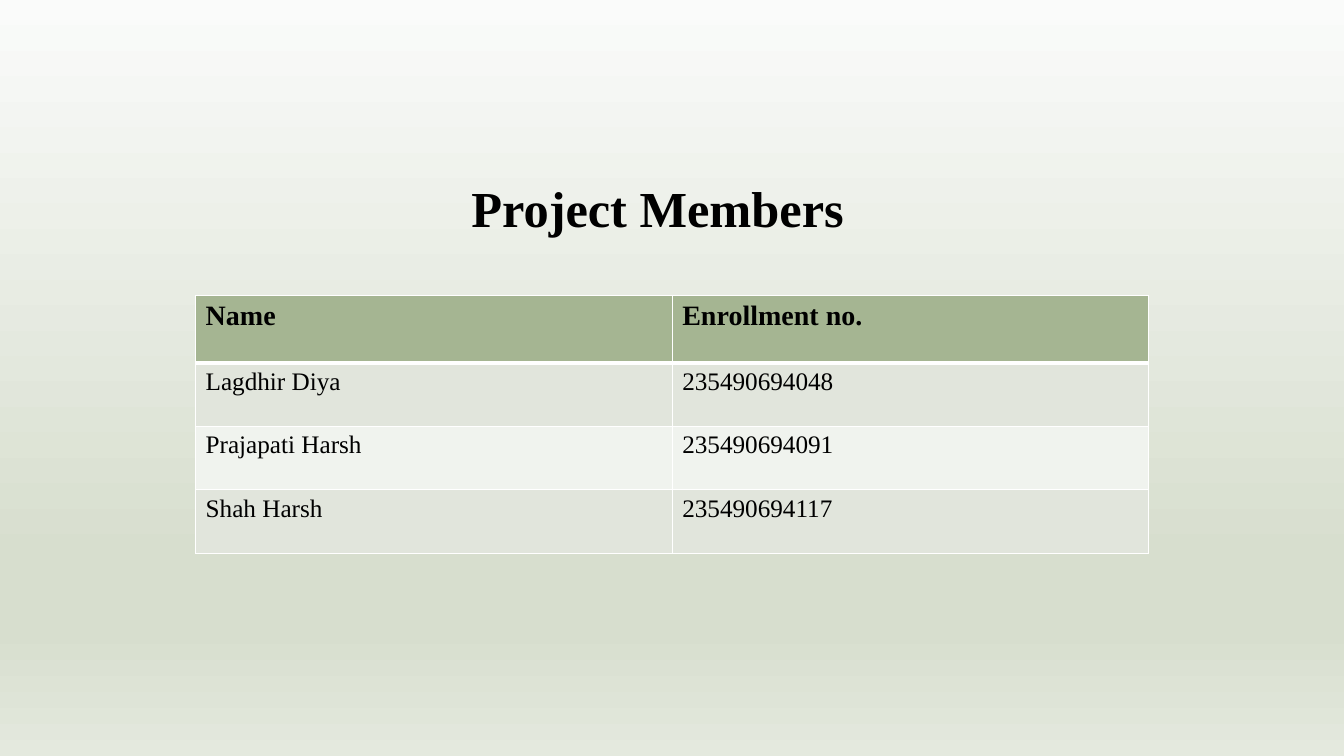
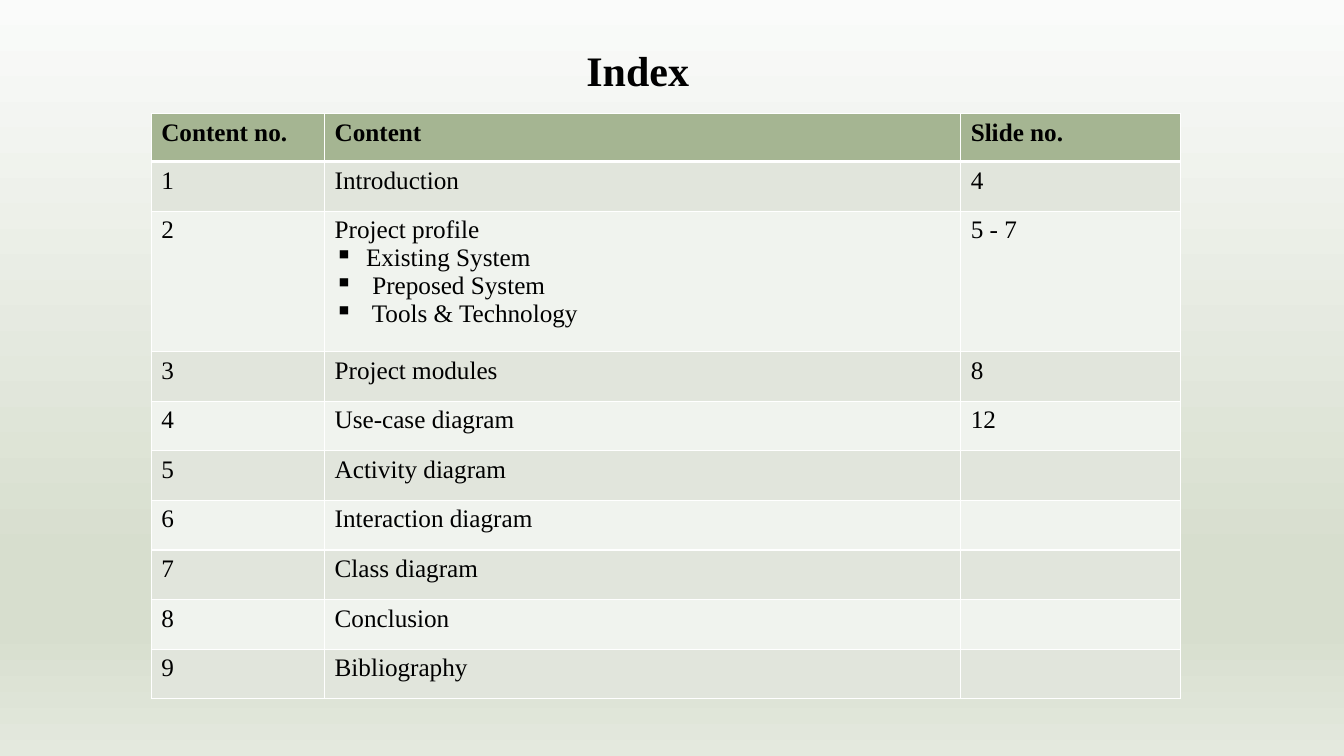
from lxml.etree import SubElement
from pptx import Presentation
from pptx.dml.color import RGBColor
from pptx.enum.text import MSO_ANCHOR as Anchor, PP_ALIGN as Align
from pptx.oxml.ns import qn
from pptx.util import Cm, Pt

FONT = "Times New Roman"
COLORS = {
    "text": "000000",
    "border": "FFFFFF",
    "header": "A5B592",
    "odd": "E1E5DC",
    "even": "F0F3EE",
}
BACKDROP = [(0, "FAFBFA"), (74, "D7DECE"), (83, "D7DECE"), (100, "E4E9DE")]
BULLET = "▪"
BULLET_INDENT = Cm(0.79)

# Boxes are left, top, width, height in centimetres.
# A cell is a text, or a list of a lead line followed by bulleted lines.
SLIDES = [
    {
        "title": "Project Members",
        "title_box": (5.03, 4.45, 23.09, 1.68),
        "title_format": {"size": 36, "align": Align.CENTER, "spacing": 0.9},
        "table_corner": (4.93, 7.44),
        "columns": [12.01, 12.01],
        "row_heights": [1.7] + [1.6] * 3,
        "header_size": 20,
        "rows": [
            ("Name", "Enrollment no."),
            ("Lagdhir Diya", "235490694048"),
            ("Prajapati Harsh", "235490694091"),
            ("Shah Harsh", "235490694117"),
        ],
    },
    {
        "title": "Index",
        "title_box": (14.53, 0.97, 3.25, 1.55),
        "title_format": {"size": 30},
        "table_corner": (3.81, 2.87),
        "columns": [4.37, 16.03, 5.54],
        "row_heights": [1.2, 1.25, 3.54] + [1.25] * 7,
        "header_size": 18,
        "rows": [
            ("Content no.", "Content", "Slide no."),
            ("1", "Introduction", "4"),
            ("2", ["Project profile", "Existing System", " Preposed System",
                   " Tools & Technology"], "5 - 7"),
            ("3", "Project modules", "8"),
            ("4", "Use-case diagram", "12"),
            ("5", "Activity diagram", ""),
            ("6", "Interaction diagram", ""),
            ("7", "Class diagram", ""),
            ("8", "Conclusion", ""),
            ("9", "Bibliography", ""),
        ],
    },
]


def write(frame, content, size=18, bold=False, align=Align.LEFT, spacing=None):
    """Fill a text frame; the lines after the first are bulleted."""
    lines = [content] if isinstance(content, str) else content
    for index, line in enumerate(lines):
        paragraph = frame.add_paragraph() if index else frame.paragraphs[0]
        paragraph.alignment = align
        if spacing:
            paragraph.line_spacing = spacing
        if index:
            properties = paragraph._p.get_or_add_pPr()
            properties.set("marL", str(BULLET_INDENT))
            properties.set("indent", str(-BULLET_INDENT))
            SubElement(properties, qn("a:buChar"), char=BULLET)
        run = paragraph.add_run()
        run.text = line
        font = run.font
        font.name, font.size, font.bold = FONT, Pt(size), bold
        font.color.rgb = RGBColor.from_string(COLORS["text"])


def set_backdrop(master):
    fill = master.background.fill
    fill.gradient()
    fill.gradient_angle = 270
    stops = master.element.find(".//" + qn("a:gsLst"))
    stops.clear()
    for percent, color in BACKDROP:
        stop = SubElement(stops, qn("a:gs"), pos=str(percent * 1000))
        SubElement(stop, qn("a:srgbClr"), val=color)


def set_borders(cell, top=1, bottom=1):
    properties = cell._tc.get_or_add_tcPr()
    for side, width in zip("LRTB", (1, 1, top, bottom)):
        line = SubElement(properties, qn(f"a:ln{side}"), w=str(Pt(width)))
        solid = SubElement(line, qn("a:solidFill"))
        SubElement(solid, qn("a:srgbClr"), val=COLORS["border"])


def add_title(slide, title, box, **text_format):
    frame = slide.shapes.add_textbox(*map(Cm, box)).text_frame
    frame.word_wrap = True
    frame.vertical_anchor = Anchor.BOTTOM
    write(frame, title, bold=True, **text_format)


def add_grid(slide, corner, columns, row_heights, rows, header_size):
    sizes = (*corner, sum(columns), sum(row_heights))
    table = slide.shapes.add_table(len(rows), len(columns), *map(Cm, sizes)).table
    table.horz_banding = False
    for column, width in zip(table.columns, columns):
        column.width = Cm(width)
    for r, (row, height) in enumerate(zip(rows, row_heights)):
        table.rows[r].height = Cm(height)
        is_header = r == 0
        band = "header" if is_header else "odd" if r % 2 else "even"
        for c, content in enumerate(row):
            cell = table.cell(r, c)
            set_borders(cell, top=3 if r == 1 else 1, bottom=3 if is_header else 1)
            cell.fill.solid()
            cell.fill.fore_color.rgb = RGBColor.from_string(COLORS[band])
            write(cell.text_frame, content, bold=is_header,
                  size=header_size if is_header else 18)


def main():
    deck = Presentation()
    deck.slide_width, deck.slide_height = Cm(33.87), Cm(19.05)
    set_backdrop(deck.slide_master)
    for page in SLIDES:
        slide = deck.slides.add_slide(deck.slide_layouts[6])
        add_title(slide, page["title"], page["title_box"], **page["title_format"])
        add_grid(slide, page["table_corner"], page["columns"],
                 page["row_heights"], page["rows"], page["header_size"])
    deck.save("out.pptx")


if __name__ == "__main__":
    main()
